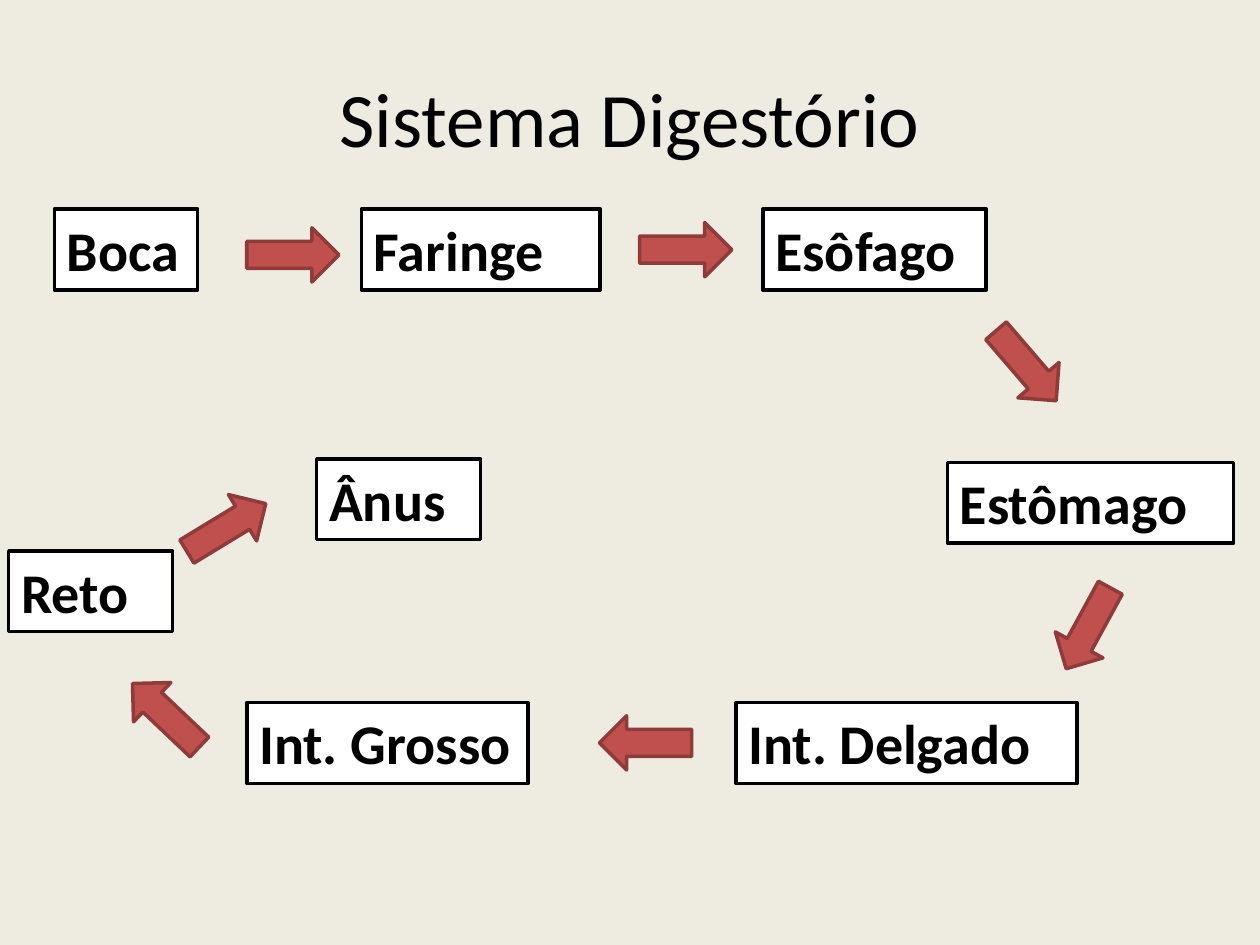
from dataclasses import dataclass

from pptx import Presentation
from pptx.dml.color import RGBColor
from pptx.enum.shapes import MSO_SHAPE
from pptx.enum.text import MSO_ANCHOR, MSO_AUTO_SIZE, PP_ALIGN
from pptx.util import Pt

RECTANGLE = MSO_SHAPE.RECTANGLE
RIGHT_ARROW = MSO_SHAPE.RIGHT_ARROW
LEFT, CENTER = PP_ALIGN.LEFT, PP_ALIGN.CENTER
TOP, MIDDLE = MSO_ANCHOR.TOP, MSO_ANCHOR.MIDDLE
GROW = MSO_AUTO_SIZE.SHAPE_TO_FIT_TEXT
BLANK_LAYOUT = 6


@dataclass(frozen=True)
class Theme:
    background: RGBColor = RGBColor(0xEE, 0xEC, 0xE1)
    text: RGBColor = RGBColor(0, 0, 0)
    box_fill: RGBColor = RGBColor(0xFF, 0xFF, 0xFF)
    box_line: RGBColor = RGBColor(0, 0, 0)
    arrow_fill: RGBColor = RGBColor(0xC0, 0x50, 0x4D)
    arrow_line: RGBColor = RGBColor(0x8E, 0x3B, 0x39)
    font: str = "Calibri"
    title_size: int = 44
    organ_size: int = 32
    line_width: int = 2


THEME = Theme()

# Sizes and rows, in points
BOX_HEIGHT = 46.2
ARROW_WIDTH, ARROW_HEIGHT = 52.7, 31
TOP_ROW, BOTTOM_ROW = 119.5, 401.5

# Organ name, left, top, width
ORGANS = [
    ("Boca", 31, TOP_ROW, 82),
    ("Faringe", 206.5, TOP_ROW, 136.5),
    ("Esôfago", 436, TOP_ROW, 127.5),
    ("Estômago", 541.5, 264.2, 163.5),
    ("Int. Delgado", 420.5, BOTTOM_ROW, 195),
    ("Int. Grosso", 141, BOTTOM_ROW, 160.7),
    ("Reto", 5, 314.8, 93.6),
    ("Ânus", 181, 262.2, 93.6),
]

# Left, top, rotation in degrees, along the path of the food
ARROWS = [
    (141, 130.2, 0),
    (365.5, 127.2, 0),
    (560, 193.5, 49.3),
    (595.5, 343.5, 118.6),
    (342.5, 409, 180),
    (68.5, 393.2, 223.5),
    (103, 286, 328.7),
]


def write_text(shape, text, *, size, bold=False, align=LEFT, anchor=TOP, wrap=True):
    frame = shape.text_frame
    frame.word_wrap = wrap
    frame.vertical_anchor = anchor
    paragraph = frame.paragraphs[0]
    paragraph.alignment = align
    run = paragraph.add_run()
    run.text = text
    run.font.name = THEME.font
    run.font.size = Pt(size)
    run.font.bold = bold
    run.font.color.rgb = THEME.text


def add_filled_shape(slide, kind, left, top, width, height, fill, line):
    shape = slide.shapes.add_shape(kind, Pt(left), Pt(top), Pt(width), Pt(height))
    shape.shadow.inherit = False
    shape.fill.solid()
    shape.fill.fore_color.rgb = fill
    shape.line.color.rgb = line
    shape.line.width = Pt(THEME.line_width)
    return shape


def add_title(slide, text):
    title = slide.shapes.add_textbox(Pt(36), Pt(21.6), Pt(648), Pt(90))
    write_text(title, text, size=THEME.title_size, align=CENTER, anchor=MIDDLE)


def add_organ(slide, name, left, top, width):
    box = add_filled_shape(slide, RECTANGLE, left, top, width, BOX_HEIGHT,
                           THEME.box_fill, THEME.box_line)
    write_text(box, name, size=THEME.organ_size, bold=True)
    box.text_frame.auto_size = GROW


def add_arrow(slide, left, top, rotation):
    arrow = add_filled_shape(slide, RIGHT_ARROW, left, top, ARROW_WIDTH, ARROW_HEIGHT,
                             THEME.arrow_fill, THEME.arrow_line)
    arrow.rotation = rotation


def main():
    presentation = Presentation()
    presentation.slide_width, presentation.slide_height = Pt(720), Pt(540)
    slide = presentation.slides.add_slide(presentation.slide_layouts[BLANK_LAYOUT])
    slide.background.fill.solid()
    slide.background.fill.fore_color.rgb = THEME.background

    # Title
    add_title(slide, "Sistema Digestório")

    # Organs
    for organ in ORGANS:
        add_organ(slide, *organ)

    # Arrows between the organs
    for arrow in ARROWS:
        add_arrow(slide, *arrow)

    presentation.save("out.pptx")


if __name__ == "__main__":
    main()
